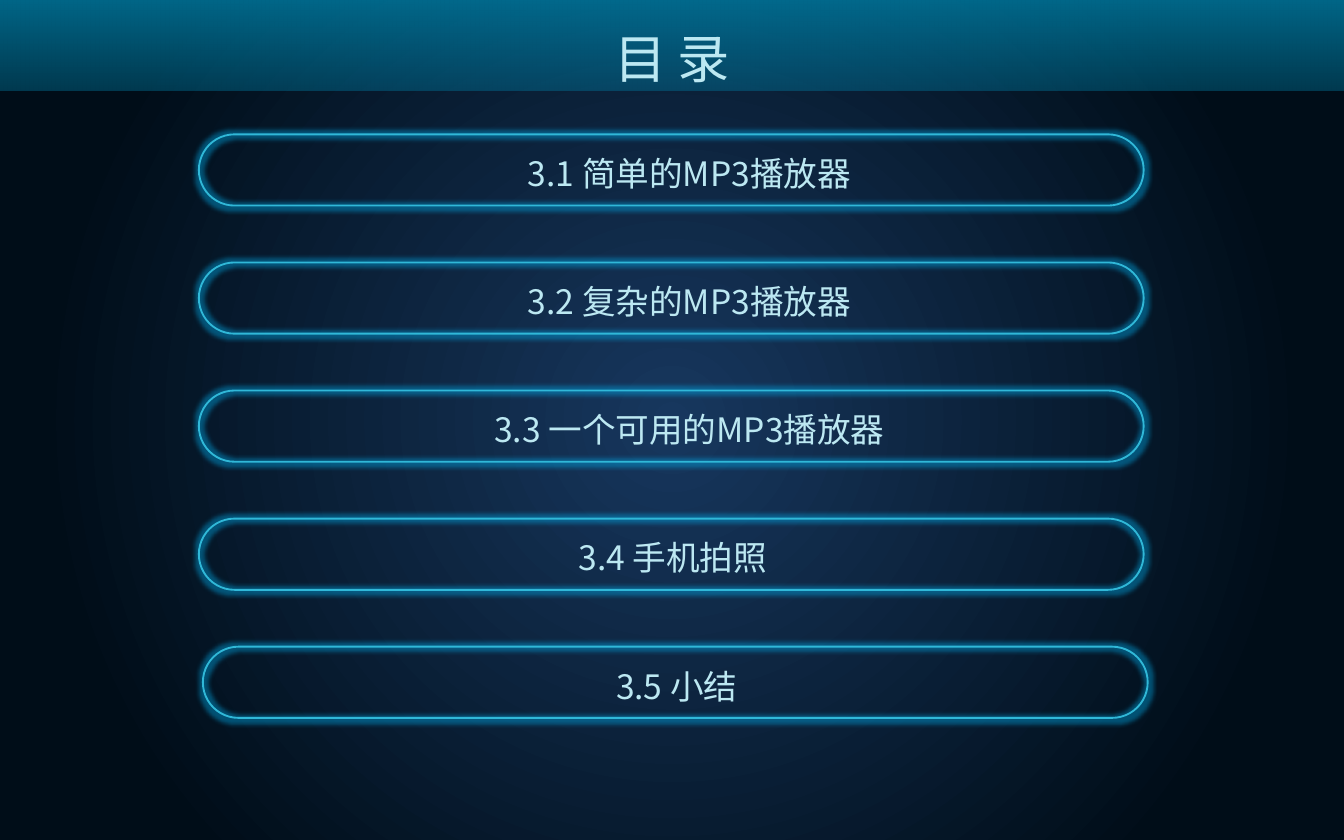
from dataclasses import dataclass

from lxml.etree import SubElement
from pptx import Presentation
from pptx.dml.color import RGBColor
from pptx.enum.shapes import MSO_SHAPE
from pptx.enum.text import MSO_ANCHOR, MSO_AUTO_SIZE, PP_ALIGN
from pptx.oxml.ns import qn
from pptx.util import Inches, Pt


@dataclass(frozen=True)
class Theme:
    font: str = "Noto Sans CJK SC"
    title_size: int = 28
    entry_size: int = 18
    text: str = "BCE8F2"
    text_edge: str = "4EC3DE"
    outline: str = "30B8D8"
    glow: str = "00B0F0"
    band: str = "007DA4"
    center: str = "17375E"
    edge: str = "000D18"


THEME = Theme()
ENTRIES = [
    "3.1 简单的MP3播放器",
    "3.2 复杂的MP3播放器",
    "3.3 一个可用的MP3播放器",
    "3.4 手机拍照",
    "3.5 小结",
]


def add_color(parent, color, alpha):
    rgb = SubElement(parent, qn("a:srgbClr"), val=color)
    if alpha < 100:
        SubElement(rgb, qn("a:alpha"), val=str(alpha * 1000))


def set_gradient(fill, owner, stops, angle=None):
    """Stops are (position, colour, alpha) in percent; no angle means radial from the centre."""
    fill.gradient()
    gradient = owner.find(".//" + qn("a:gradFill"))
    for child in list(gradient):
        gradient.remove(child)
    stop_list = SubElement(gradient, qn("a:gsLst"))
    for position, color, alpha in stops:
        stop = SubElement(stop_list, qn("a:gs"), pos=str(position * 1000))
        add_color(stop, color, alpha)
    if angle is None:
        radial = SubElement(gradient, qn("a:path"), path="circle")
        SubElement(radial, qn("a:fillToRect"), l="50000", t="50000", r="50000", b="50000")
    else:
        SubElement(gradient, qn("a:lin"), ang=str(angle * 60000), scaled="0")


def add_text(slide, text, box, size, color=THEME.text, line_spacing=None, space_before=None):
    frame = slide.shapes.add_textbox(*map(Inches, box)).text_frame
    frame.word_wrap = True
    frame.auto_size = MSO_AUTO_SIZE.SHAPE_TO_FIT_TEXT
    frame.vertical_anchor = MSO_ANCHOR.MIDDLE
    paragraph = frame.paragraphs[0]
    paragraph.alignment = PP_ALIGN.CENTER
    paragraph.line_spacing = line_spacing
    paragraph.space_before = space_before
    run = paragraph.add_run()
    run.text = text
    run.font.size = Pt(size)
    run.font.name = THEME.font
    run.font.color.rgb = RGBColor.from_string(color)
    SubElement(run.font._element, qn("a:ea"), typeface=THEME.font)
    return run


def add_background(slide):
    set_gradient(slide.background.fill, slide.element,
                 [(0, THEME.center, 100), (80, THEME.edge, 100)])


def add_header(slide, left, top, width, height):
    band = slide.shapes.add_shape(MSO_SHAPE.ROUND_2_SAME_RECTANGLE,
                                  *map(Inches, (left, top, width, height)))
    band.adjustments[0] = 0
    band.shadow.inherit = False
    band.line.fill.background()
    set_gradient(band.fill, band.element,
                 [(0, THEME.band, 80), (100, THEME.band, 39)], angle=90)
    title_width = 1.65
    title = add_text(slide, "目 录",
                     (left + (width - title_width) / 2, top + 0.05, title_width, height),
                     THEME.title_size, line_spacing=1.2, space_before=Pt(14))
    set_gradient(title.font.fill, title.font._element,
                 [(0, THEME.text_edge, 100), (40, THEME.text, 100),
                  (60, THEME.text, 100), (100, THEME.text_edge, 100)], angle=0)


def add_entry(slide, text, left, top, width, height, text_left, text_width):
    pill = slide.shapes.add_shape(MSO_SHAPE.ROUNDED_RECTANGLE,
                                  *map(Inches, (left, top, width, height)))
    pill.adjustments[0] = 0.5
    pill.fill.background()
    pill.line.color.rgb = RGBColor.from_string(THEME.outline)
    pill.line.width = Pt(1)
    pill.shadow.inherit = False
    effects = pill.element.spPr.find(qn("a:effectLst"))
    glow = SubElement(effects, qn("a:glow"), rad=str(Pt(5)))
    add_color(glow, THEME.glow, 40)
    add_text(slide, text, (left + text_left, top + 0.09, text_width, 0.4), THEME.entry_size)


def add_contents(slide, left, top, width, row_height, pitch):
    for index, text in enumerate(ENTRIES):
        text_width = 3.36 if "MP3" in text else 3.11
        nudge = 0.03 if index == len(ENTRIES) - 1 else 0
        add_entry(slide, text, left + nudge, top + index * pitch, width, row_height,
                  text_left=1.97, text_width=text_width)


def main():
    deck = Presentation()
    deck.slide_width, deck.slide_height = Inches(10), Inches(6.25)
    slide = deck.slides.add_slide(deck.slide_layouts[6])
    add_background(slide)
    add_header(slide, 0, 0, 10, 0.67)
    add_contents(slide, 1.48, 1, 7.03, 0.53, pitch=0.953)
    deck.save("out.pptx")


if __name__ == "__main__":
    main()
